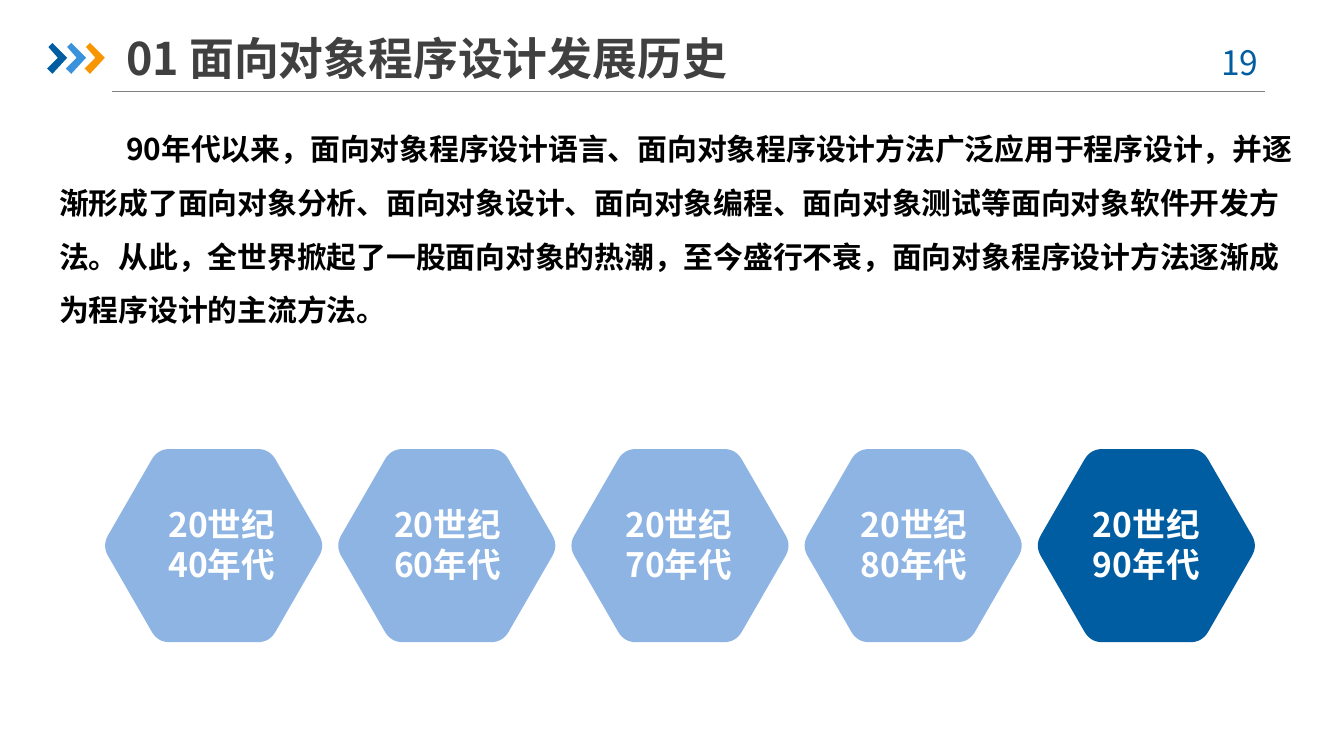
"""Build the slide on the history of object-oriented programming."""
from dataclasses import dataclass
from math import cos, pi, sin

from lxml import etree
from pptx import Presentation
from pptx.dml.color import RGBColor
from pptx.enum.shapes import MSO_CONNECTOR
from pptx.enum.text import MSO_ANCHOR, PP_ALIGN
from pptx.oxml.ns import qn
from pptx.util import Inches, Pt

LEFT, CENTER = PP_ALIGN.LEFT, PP_ALIGN.CENTER
TOP, MIDDLE = MSO_ANCHOR.TOP, MSO_ANCHOR.MIDDLE
STRAIGHT = MSO_CONNECTOR.STRAIGHT


@dataclass(frozen=True)
class Theme:
    font: str = "Noto Sans CJK SC"
    dark_blue: str = "005DA2"
    mid_blue: str = "3992DB"
    pale_blue: str = "8EB4E3"
    orange: str = "F79600"
    gray: str = "808080"
    title: str = "404040"
    black: str = "000000"
    white: str = "FFFFFF"
    title_size: int = 24
    label_size: int = 18
    body_size: int = 16


THEME = Theme()
TITLE = "01 面向对象程序设计发展历史"
PAGE_NUMBER = "19"
BODY = (
    "90年代以来，面向对象程序设计语言、面向对象程序设计方法广泛应用于程序设计，"
    "并逐渐形成了面向对象分析、面向对象设计、面向对象编程、面向对象测试等面向对象软件开发方法。"
    "从此，全世界掀起了一股面向对象的热潮，至今盛行不衰，"
    "面向对象程序设计方法逐渐成为程序设计的主流方法。"
)
DECADES = [
    ("20世纪\n40年代", 1.12, THEME.pale_blue),
    ("20世纪\n60年代", 2.8, THEME.pale_blue),
    ("20世纪70年代", 4.52, THEME.pale_blue),
    ("20世纪\n80年代", 6.27, THEME.pale_blue),
    ("20世纪90年代", 8.0, THEME.dark_blue),
]
CHEVRON_COLORS = [THEME.dark_blue, THEME.mid_blue, THEME.orange]
CHEVRON = [(0.01, 0.03), (0.04, 0), (0.15, 0.11), (0.04, 0.23), (0, 0.19), (0.08, 0.11)]
CHEVRON_LEFT, CHEVRON_TOP, CHEVRON_PITCH = 0.35, 0.32, 0.14
FIRST_HEXAGON_X, LAST_HEXAGON_X, HEXAGON_Y = 1.59, 8.53, 4.06
HEXAGON_PITCH = (LAST_HEXAGON_X - FIRST_HEXAGON_X) / (len(DECADES) - 1)
HEXAGON_RADIUS, CORNER_CUT, CORNER_STEPS = 0.83, 0.09, 8


def add_text(page, place, text, size, color, bold=True, align=LEFT, anchor=TOP, insets=(0, 0)):
    box = page.shapes.add_textbox(*map(Inches, place))
    frame = box.text_frame
    frame.word_wrap = True
    frame.vertical_anchor = anchor
    frame.margin_left = frame.margin_right = Inches(insets[0])
    frame.margin_top = frame.margin_bottom = Inches(insets[1])
    frame.text = text
    for para in frame.paragraphs:
        para.alignment = align
        for span in para.runs:
            span.font.name = THEME.font
            span.font.size = Pt(size)
            span.font.bold = bold
            span.font.color.rgb = RGBColor.from_string(color)
            east_asian = etree.SubElement(span.font._element, qn("a:ea"))
            east_asian.set("typeface", THEME.font)
    return frame


def add_outline(page, points, color):
    corners = [(Inches(x), Inches(y)) for x, y in points]
    builder = page.shapes.build_freeform(*corners[0])
    builder.add_line_segments(corners[1:], close=True)
    shape = builder.convert_to_shape()
    shape.shadow.inherit = False
    shape.fill.solid()
    shape.fill.fore_color.rgb = RGBColor.from_string(color)
    shape.line.fill.background()


def rounded_hexagon(center_x, center_y):
    corners = [
        (center_x + HEXAGON_RADIUS * cos(k * pi / 3), center_y + HEXAGON_RADIUS * sin(k * pi / 3))
        for k in range(6)
    ]
    share = CORNER_CUT / HEXAGON_RADIUS
    points = []
    for k, corner in enumerate(corners):
        before, after = corners[k - 1], corners[(k + 1) % 6]
        for step in range(CORNER_STEPS + 1):
            t = step / CORNER_STEPS
            points.append(tuple(
                c + share * ((1 - t) ** 2 * (b - c) + t ** 2 * (a - c))
                for b, c, a in zip(before, corner, after)
            ))
    return points


def add_header(page):
    rule = page.shapes.add_connector(STRAIGHT, *map(Inches, (0.83, 0.68, 9.41, 0.68)))
    rule.line.color.rgb = RGBColor.from_string(THEME.gray)
    rule.line.width = Pt(0.75)
    etree.SubElement(rule._element.spPr, qn("a:effectLst"))
    for index, color in enumerate(CHEVRON_COLORS):
        left = CHEVRON_LEFT + index * CHEVRON_PITCH
        add_outline(page, [(left + x, CHEVRON_TOP + y) for x, y in CHEVRON], color)
    add_text(page, (8.86, 0.26, 0.73, 0.4), PAGE_NUMBER, THEME.label_size, THEME.dark_blue,
             bold=False, align=CENTER, insets=(0.1, 0.05))
    add_text(page, (0.94, 0.22, 4.69, 0.42), TITLE, THEME.title_size, THEME.title,
             anchor=MIDDLE, insets=(0, 0.05))


def add_body(page):
    frame = add_text(page, (0.44, 0.84, 9.28, 1.58), BODY, THEME.body_size, THEME.black)
    para = frame.paragraphs[0]
    para.line_spacing = 1.5
    para._p.get_or_add_pPr().set("indent", str(Inches(0.5)))


def add_decades(page):
    for index, (label, label_left, color) in enumerate(DECADES):
        center_x = FIRST_HEXAGON_X + index * HEXAGON_PITCH
        add_outline(page, rounded_hexagon(center_x, HEXAGON_Y), color)
        add_text(page, (label_left, 3.75, 1.06, 0.61), label, THEME.label_size, THEME.white,
                 align=CENTER)


def main():
    deck = Presentation()
    deck.slide_width = Inches(10)
    deck.slide_height = deck.slide_width * 9 // 16
    page = deck.slides.add_slide(deck.slide_layouts[6])
    add_header(page)
    add_body(page)
    add_decades(page)
    deck.save("out.pptx")


if __name__ == "__main__":
    main()
